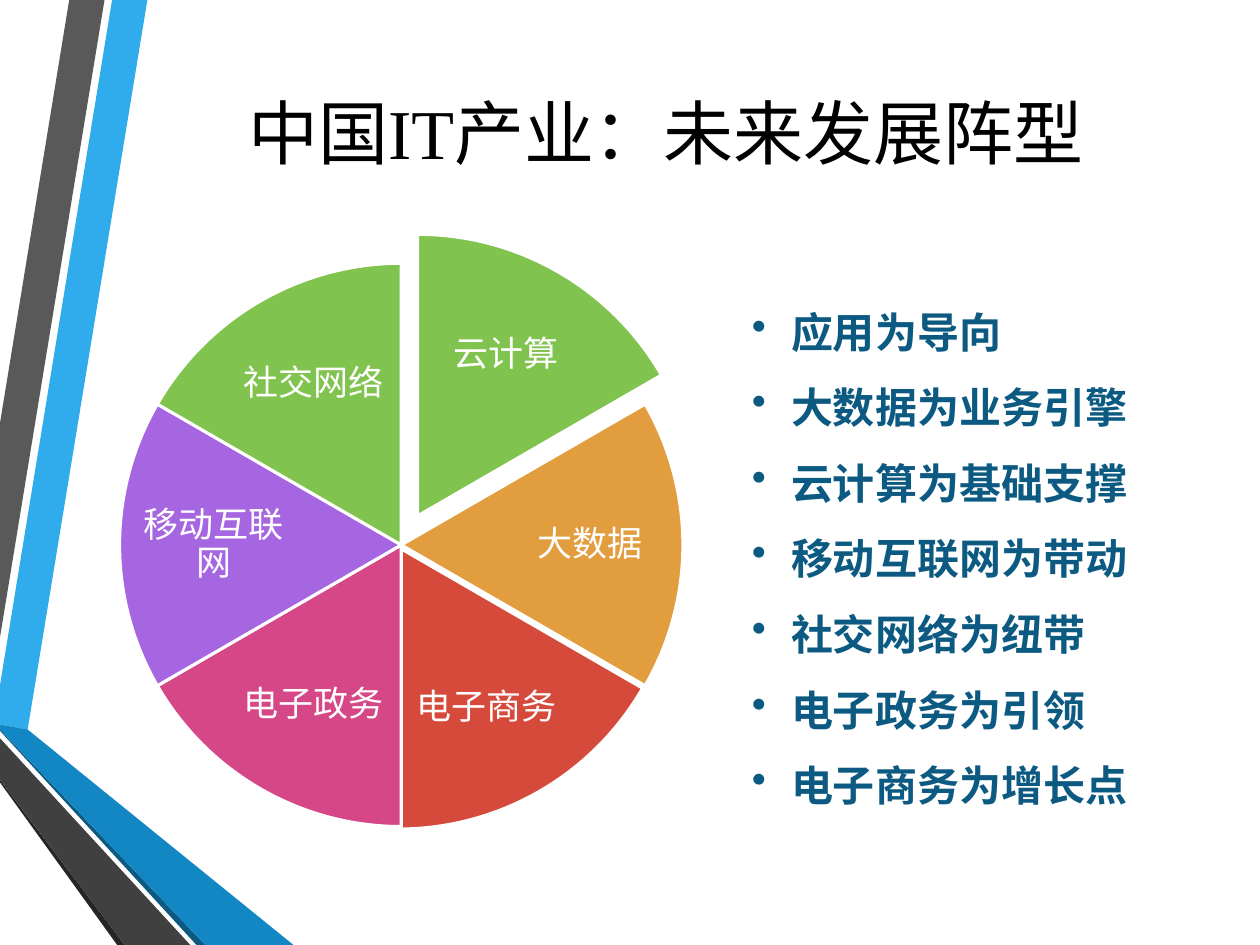
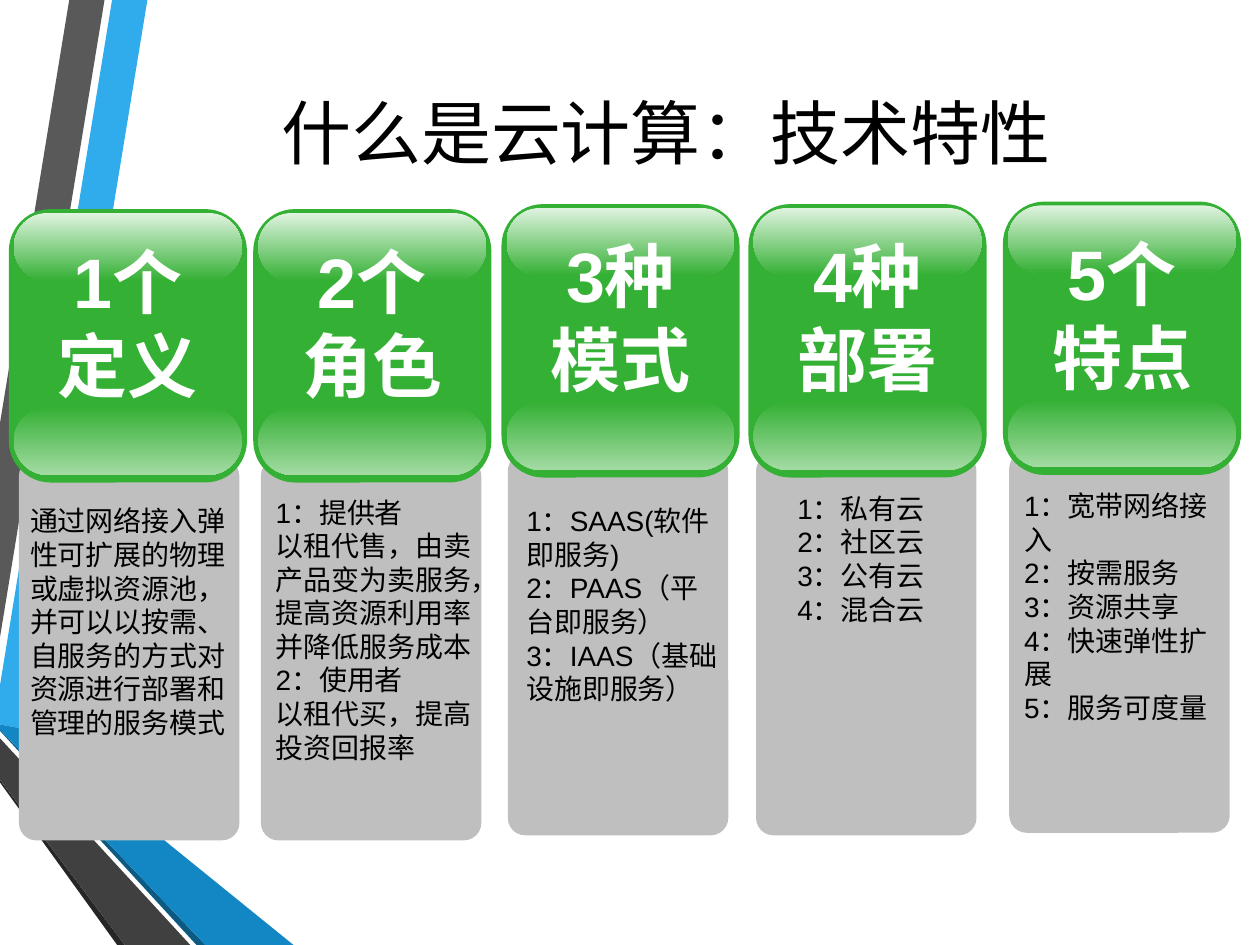
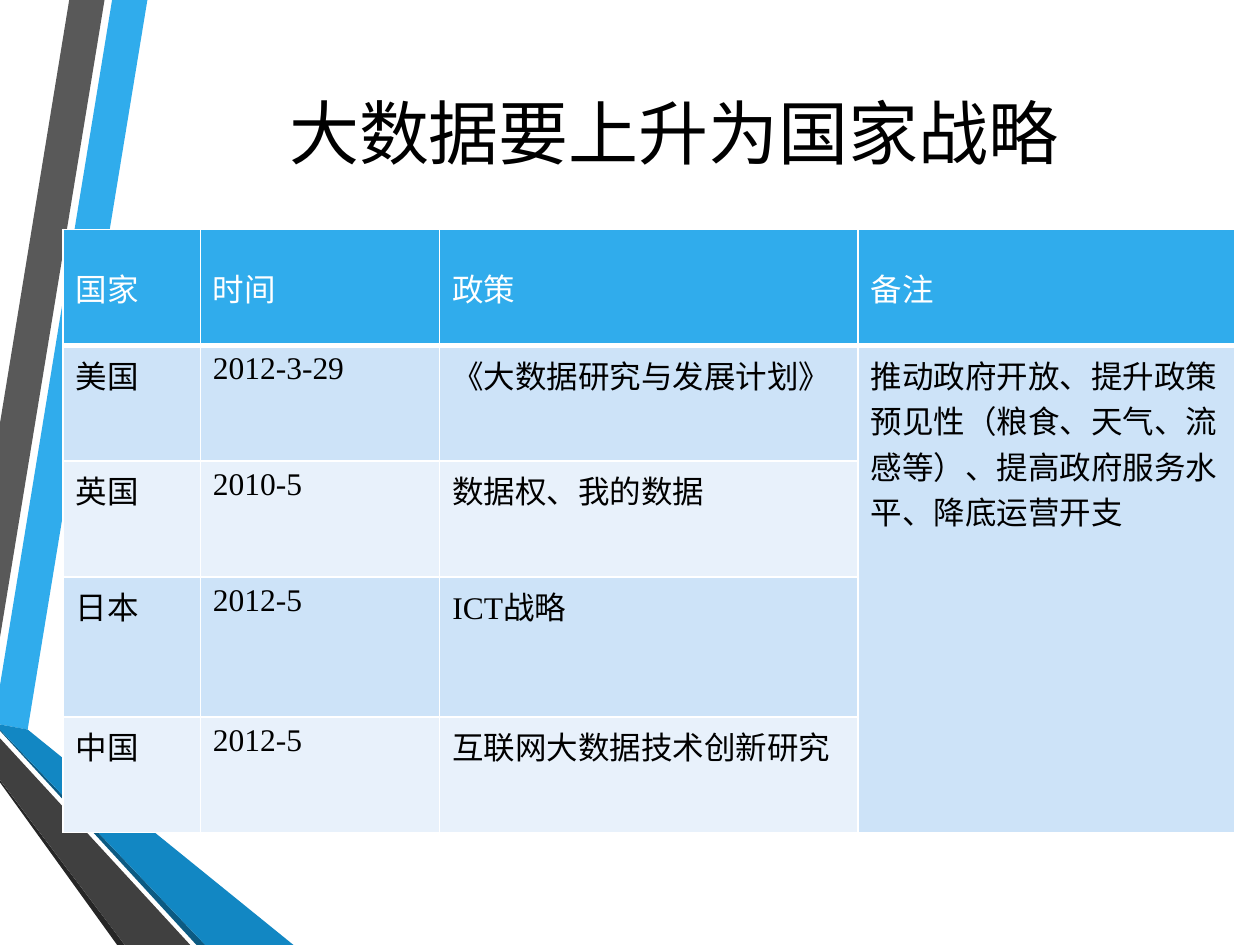
from dataclasses import dataclass

from lxml.etree import SubElement
from pptx import Presentation
from pptx.dml.color import RGBColor
from pptx.enum.shapes import MSO_SHAPE as Preset
from pptx.enum.text import MSO_ANCHOR as Anchor, MSO_AUTO_SIZE as AutoSize, PP_ALIGN as Align
from pptx.oxml import parse_xml
from pptx.oxml.ns import nsdecls, qn
from pptx.util import Emu, Inches, Pt

SLIDE_WIDTH, SLIDE_HEIGHT = Inches(10), Inches(7.5)
COLUMNS, ROWS = 10, 7.5  # grid of square cells


@dataclass(frozen=True)
class Theme:
    white: str = "FFFFFF"
    black: str = "000000"
    sky: str = "30ACEC"
    blue: str = "1287C3"
    navy: str = "0C5A82"
    gray: str = "595959"
    dark_gray: str = "404040"
    charcoal: str = "262626"
    panel: str = "BFBFBF"
    green: str = "34B034"
    gloss_top: str = "E0F3E0"
    gloss_bottom: str = "A3DBA3"
    row_tints: tuple = ("E8F1FB", "CDE3F8")
    slices: tuple = ("80C34F", "E29D3E", "D64A3B", "D64787", "A666E1", "80C34F")
    serif: str = "Times New Roman"
    sans: str = "Arial"
    label_font: str = "Cabin"
    title_size: int = 40
    bullet_size: int = 24
    label_size: int = 20
    table_size: int = 18
    body_size: int = 16


THEME = Theme()

# Ribbons at the left edge: colour and outline in grid cells
RIBBONS = [
    (THEME.sky, [(0, 5.44), (0, 5.75), (0.22, 5.79), (1.17, 0), (0.89, 0)]),
    (THEME.gray, [(0.83, 0), (0.55, 0), (0, 3.36), (0, 5.06)]),
    (THEME.charcoal, [(0, 6.19), (0, 6.21), (0.93, 7.5), (0.99, 7.5)]),
    (THEME.navy, [(0, 5.79), (0, 5.8), (1.56, 7.5), (1.63, 7.5)]),
    (THEME.blue, [(0, 5.79), (1.63, 7.5), (2.33, 7.5), (0.22, 5.79), (0, 5.75)]),
    (THEME.dark_gray, [(0, 6.19), (0.99, 7.5), (1.51, 7.5), (0, 5.86)]),
]

# Pie slices: label, slice left and top, label left, top, width and height
SLICES = [
    ("云计算", (1.08, 1.86), (3.37, 2.34, 1.3, 0.96)),
    ("大数据", (0.95, 2.09), (4.01, 3.87, 1.35, 0.91)),
    ("电子商务", (0.93, 2.11), (3.21, 5.14, 1.3, 0.96)),
    ("电子政务", (0.95, 2.09), (1.84, 5.12, 1.3, 0.96)),
    ("移动互联网", (0.95, 2.09), (1.02, 3.87, 1.35, 0.91)),
    ("社交网络", (0.95, 2.09), (1.84, 2.57, 1.3, 0.96)),
]
PIE_SIZE = 4.47
FULL_TURN, FIRST_ANGLE = 216, 162  # pie adjustments: 0.6 per degree

DIRECTIONS = ["应用为导向", "大数据为业务引擎", "云计算为基础支撑", "移动互联网为带动",
              "社交网络为纽带", "电子政务为引领", "电子商务为增长点"]


@dataclass(frozen=True)
class Card:
    left: float
    top: float
    panel_left: float
    heading: tuple
    body_box: tuple
    body: tuple


CARDS = [
    Card(0.07, 1.66, 0.15, ("1个", "定义"), (0.14, 3.95, 1.76, 1.99),
         ("通过网络接入弹性可扩展的物理或虚拟资源池，并可以以按需、"
          "自服务的方式对资源进行部署和管理的服务模式",)),
    Card(2.01, 1.66, 2.07, ("2个", "角色"), (2.09, 3.88, 1.76, 2.79),
         ("1：提供者", "以租代售，由卖产品变为卖服务，提高资源利用率并降低服务成本",
          "2：使用者", "以租代买，提高投资回报率")),
    Card(3.98, 1.62, 4.03, ("3种", "模式"), (4.08, 3.95, 1.76, 2.26),
         ("1：SAAS(软件即服务)", "2：PAAS（平台即服务）", "3：IAAS（基础设施即服务）")),
    Card(5.94, 1.62, 6.0, ("4种", "部署"), (6.23, 3.85, 1.76, 1.18),
         ("1：私有云", "2：社区云", "3：公有云", "4：混合云")),
    Card(7.96, 1.6, 8.01, ("5个", "特点"), (8.03, 3.83, 1.85, 2.26),
         ("1：宽带网络接入", "2：按需服务", "3：资源共享", "4：快速弹性扩展", "5：服务可度量")),
]

POLICIES = [
    ("国家", "时间", "政策", "备注"),
    ("美国", "2012-3-29", "《大数据研究与发展计划》",
     "推动政府开放、提升政策预见性（粮食、天气、流感等）、提高政府服务水平、降底运营开支"),
    ("英国", "2010-5", "数据权、我的数据", ""),
    ("日本", "2012-5", "ICT战略", ""),
    ("中国", "2012-5", "互联网大数据技术创新研究", ""),
]
POLICY_COLUMNS = (1.09, 1.9, 3.32, 2.99)
POLICY_ROWS = (0.92, 0.92, 0.92, 1.11, 0.92)


def col(count):
    return Emu(round(SLIDE_WIDTH / COLUMNS * count))


def row(count):
    return Emu(round(SLIDE_HEIGHT / ROWS * count))


def place(left, top, width, height):
    return col(left), row(top), col(width), row(height)


def rgb(color):
    return RGBColor.from_string(color)


def paint(fill, color):
    fill.solid()
    fill.fore_color.rgb = rgb(color)


# Text
def add_run(paragraph, text, font_name, size, color, bold=False):
    run = paragraph.add_run()
    run.text = text
    run.font.name, run.font.size, run.font.bold = font_name, Pt(size), bold
    run.font.color.rgb = rgb(color)


def add_bullet(paragraph, indent):
    properties = paragraph._p.get_or_add_pPr()
    properties.set("marL", str(col(indent)))
    properties.set("indent", str(-col(indent)))
    SubElement(properties, qn("a:buChar")).set("char", "•")


def add_text(slide, box, lines, font_name, size, color, bold=False, align=Align.LEFT,
             spacing=None, bullet=False, wrap=True, grow=True, inset=None):
    frame = slide.shapes.add_textbox(*place(*box)).text_frame
    frame.word_wrap = wrap
    frame.auto_size = AutoSize.SHAPE_TO_FIT_TEXT if grow else AutoSize.NONE
    frame.vertical_anchor = Anchor.TOP if grow else Anchor.MIDDLE
    if inset is not None:
        frame.margin_left = frame.margin_right = col(inset)
        frame.margin_top = frame.margin_bottom = row(inset)
    for index, line in enumerate(lines):
        paragraph = frame.add_paragraph() if index else frame.paragraphs[0]
        if bullet:
            add_bullet(paragraph, 0.31)
        paragraph.alignment = align
        if spacing:
            paragraph.line_spacing = spacing
        add_run(paragraph, line, font_name, size, color, bold)


# Shapes
def add_preset(slide, preset, box, adjustments, color=None, outline=None):
    shape = slide.shapes.add_shape(preset, *place(*box))
    shape.shadow.inherit = False
    for index, value in enumerate(adjustments):
        shape.adjustments[index] = value
    if color:
        paint(shape.fill, color)
    if outline:
        shape.line.color.rgb = rgb(outline)
        shape.line.width = Pt(1.75)
    else:
        shape.line.fill.background()
    return shape


def add_gloss(slide, box, top_color, bottom_color):
    shape = add_preset(slide, Preset.ROUNDED_RECTANGLE, box, [0.5])
    shape.fill.gradient()
    shape.fill.gradient_angle = 270
    for stop, color in zip(shape.fill.gradient_stops, (top_color, bottom_color)):
        stop.color.rgb = rgb(color)


def add_ribbon(slide, color, outline):
    points = [(col(x), row(y)) for x, y in outline]
    builder = slide.shapes.build_freeform(*points[0])
    builder.add_line_segments(points[1:], close=True)
    shape = builder.convert_to_shape()
    shape.shadow.inherit = False
    paint(shape.fill, color)
    shape.line.fill.background()
    return shape


# Shared parts
def move_ribbons_to_layout(slide, layout):
    for color, outline in RIBBONS:
        layout.shapes.element.append(add_ribbon(slide, color, outline).element)


def add_titled_slide(presentation, layout, text):
    slide = presentation.slides.add_slide(layout)
    title = slide.shapes.title
    title.left, title.top, title.width, title.height = place(1.07, 0.5, 8.43, 1.08)
    title.text_frame.vertical_anchor = Anchor.MIDDLE
    paragraph = title.text_frame.paragraphs[0]
    paragraph.alignment = Align.CENTER
    add_run(paragraph, text, THEME.serif, THEME.title_size, THEME.black)
    return slide


# Content
def add_pie(slide):
    step = FULL_TURN / len(SLICES)
    for index, (label, corner, label_box) in enumerate(SLICES):
        start = (FIRST_ANGLE + index * step) % FULL_TURN
        add_preset(slide, Preset.PIE, (*corner, PIE_SIZE, PIE_SIZE),
                   [start, (start + step) % FULL_TURN], THEME.slices[index], THEME.white)
        add_text(slide, label_box, [label], THEME.label_font, THEME.label_size, THEME.white,
                 align=Align.CENTER, spacing=0.9, grow=False, inset=0.03)


def add_card(slide, card):
    left, top = card.left, card.top
    rounded = Preset.ROUNDED_RECTANGLE
    add_preset(slide, rounded, (card.panel_left, top + 1.98, 1.75, 3.03), [0.079], THEME.panel)
    add_preset(slide, rounded, (left, top, 1.89, 2.17), [0.175], THEME.green)
    add_gloss(slide, (left + 0.04, top + 1.57, 1.81, 0.54), THEME.green, THEME.gloss_bottom)
    add_gloss(slide, (left + 0.04, top + 0.03, 1.81, 0.54), THEME.gloss_top, THEME.green)
    add_text(slide, card.body_box, card.body, THEME.sans, THEME.body_size, THEME.black)
    add_text(slide, (left + 0.28, top + 0.18, 1.33, 1.45), card.heading, THEME.sans,
             THEME.title_size, THEME.white, bold=True, align=Align.CENTER, wrap=False)


def set_borders(cell, bottom_width):
    properties = cell._tc.get_or_add_tcPr()
    for index, side in enumerate("LRTB"):
        width = Pt(bottom_width if side == "B" else 1)
        properties.insert(index, parse_xml(
            f'<a:ln{side} {nsdecls("a")} w="{width}"><a:solidFill>'
            f'<a:srgbClr val="{THEME.white}"/></a:solidFill></a:ln{side}>'))


def add_policy_table(slide):
    box = place(0.5, 1.82, sum(POLICY_COLUMNS), sum(POLICY_ROWS))
    table = slide.shapes.add_table(len(POLICY_ROWS), len(POLICY_COLUMNS), *box).table
    for column, width in zip(table.columns, POLICY_COLUMNS):
        column.width = col(width)
    for table_row, height in zip(table.rows, POLICY_ROWS):
        table_row.height = row(height)
    for row_index, texts in enumerate(POLICIES):
        header = row_index == 0
        for column_index, text in enumerate(texts):
            cell = table.cell(row_index, column_index)
            paint(cell.fill, THEME.sky if header else THEME.row_tints[row_index % 2])
            set_borders(cell, 3 if header else 1)
            cell.vertical_anchor = Anchor.MIDDLE if header else Anchor.TOP
            if text:
                add_run(cell.text_frame.paragraphs[0], text, THEME.serif, THEME.table_size,
                        THEME.white if header else THEME.black)
    table.cell(1, 3).merge(table.cell(len(POLICIES) - 1, 3))


def main():
    presentation = Presentation()
    presentation.slide_width, presentation.slide_height = SLIDE_WIDTH, SLIDE_HEIGHT
    layout = presentation.slide_layouts.get_by_name("Title Only")
    for placeholder in list(layout.placeholders)[1:]:
        layout.shapes.element.remove(placeholder.element)

    # Future line-up
    slide = add_titled_slide(presentation, layout, "中国IT产业：未来发展阵型")
    move_ribbons_to_layout(slide, layout)
    add_pie(slide)
    add_text(slide, (5.87, 2.18, 3.93, 4.34), DIRECTIONS, THEME.sans, THEME.bullet_size,
             THEME.navy, bold=True, spacing=1.5, bullet=True)

    # Technical features
    slide = add_titled_slide(presentation, layout, "什么是云计算：技术特性")
    for card in CARDS:
        add_card(slide, card)

    # National strategies
    slide = add_titled_slide(presentation, layout, " 大数据要上升为国家战略")
    add_policy_table(slide)

    presentation.save("out.pptx")


if __name__ == "__main__":
    main()
